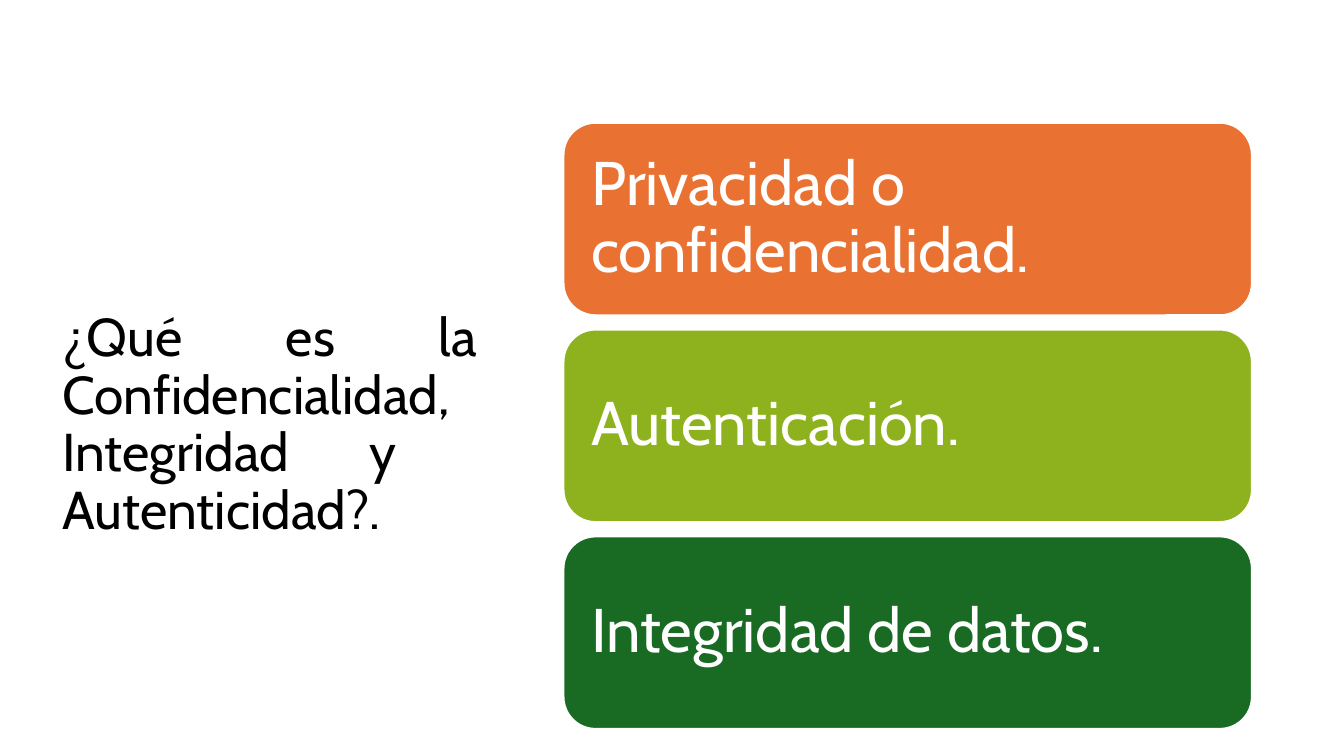
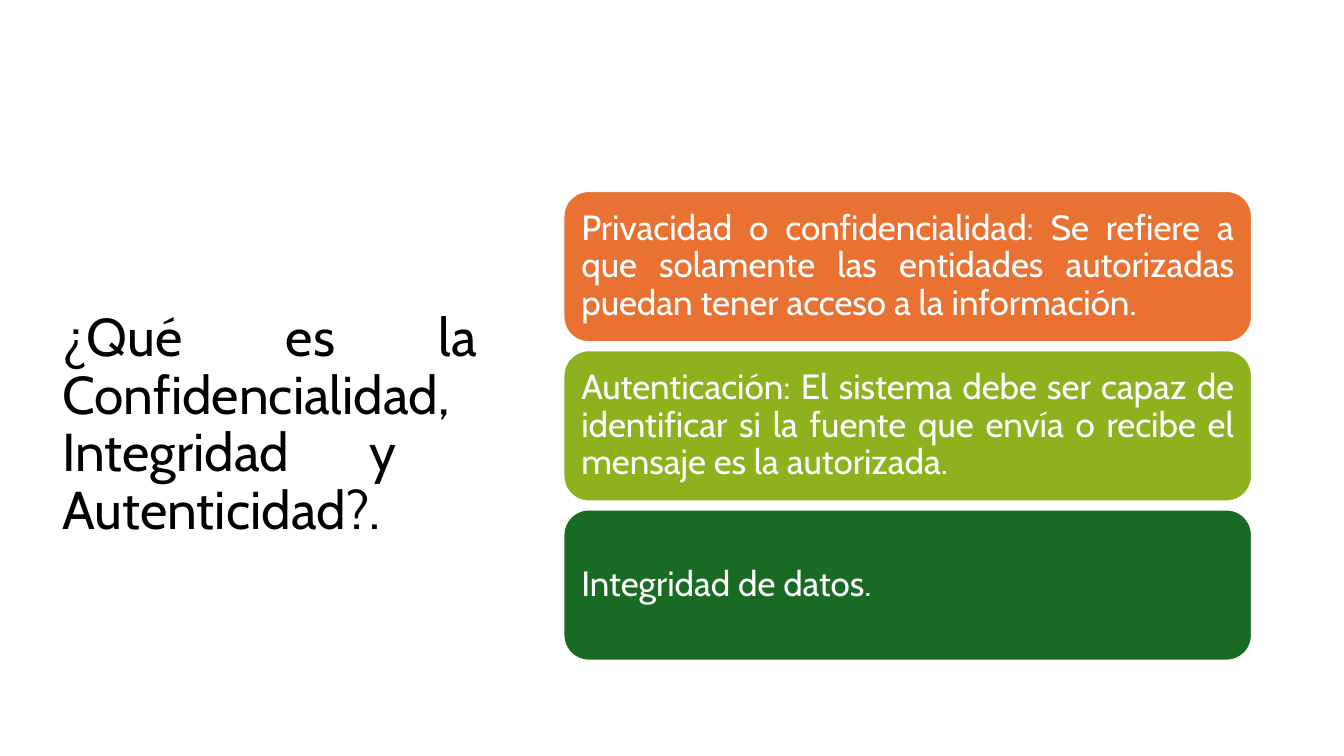
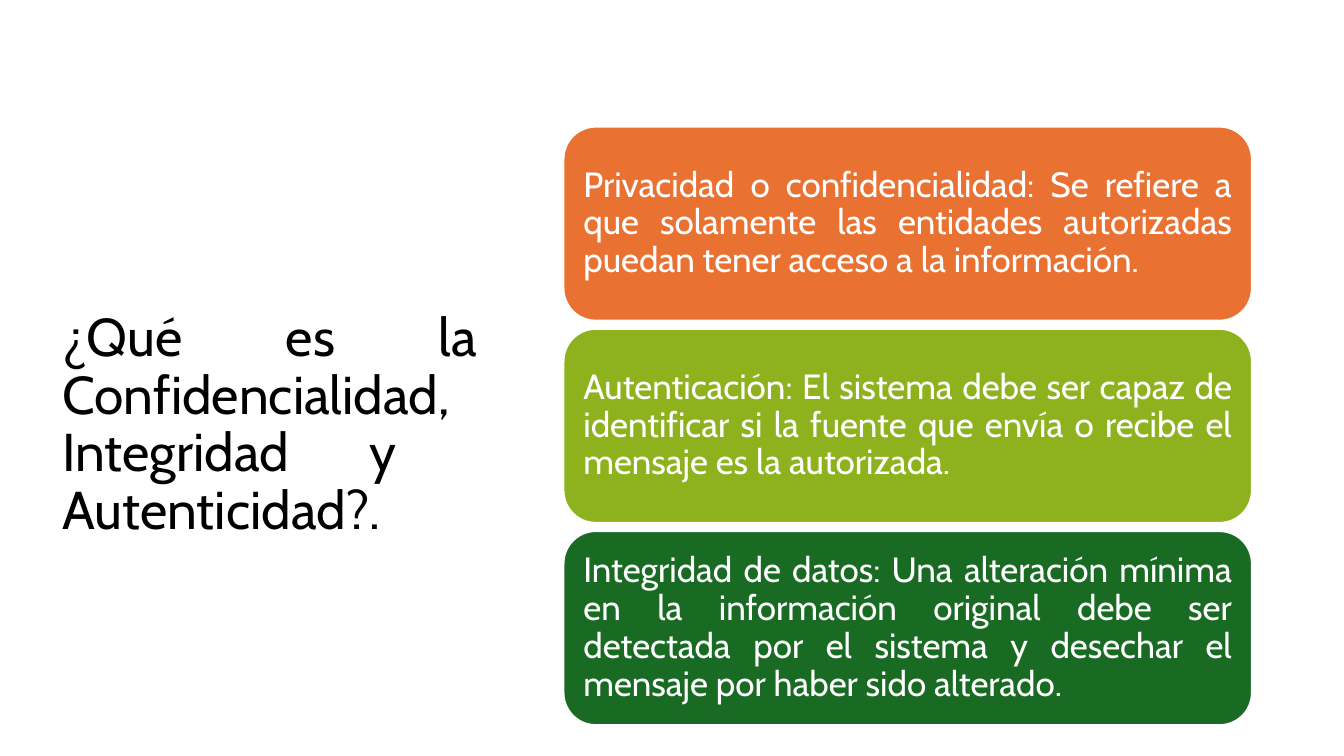
"""Build three slides on confidentiality, authentication and integrity."""
from pptx import Presentation
from pptx.dml.color import RGBColor
from pptx.enum import shapes, text
from pptx.util import Pt

FONT = "Cabin"
BLACK = RGBColor(0x00, 0x00, 0x00)
WHITE = RGBColor(0xFF, 0xFF, 0xFF)
ORANGE = RGBColor(0xE9, 0x71, 0x32)
LIME = RGBColor(0x8E, 0xB2, 0x1E)
GREEN = RGBColor(0x19, 0x6B, 0x24)
CARD_COLORS = (ORANGE, LIME, GREEN)

TITLE = "¿Qué es la Confidencialidad, Integridad y  Autenticidad?."
TITLE_BOX = (37.5, 84.2, 310.3, 440)
TITLE_SIZE = 38

STACK_LEFT, STACK_WIDTH, STACK_MIDDLE = 402.5, 491.8, 304.2
GAP_RATIO, INSET_RATIO = 0.23, 0.3

PRIVACY = ("Privacidad o confidencialidad: Se refiere a que solamente las "
           "entidades autorizadas puedan tener acceso a la información.")
AUTHENTICATION = ("Autenticación: El sistema debe ser capaz de identificar si la "
                  "fuente que envía o recibe el mensaje es la autorizada.")
INTEGRITY = ("Integridad de datos: Una alteración mínima en la información original "
             "debe ser detectada por el sistema y desechar el mensaje por haber "
             "sido alterado.")
INTEGRITY_SHORT = "Integridad de datos."

SLIDES = (
    (44, 137.6, ("Privacidad o confidencialidad.", "Autenticación.", INTEGRITY_SHORT)),
    (25, 108, (PRIVACY, AUTHENTICATION, INTEGRITY_SHORT)),
    (25, 138.7, (PRIVACY, AUTHENTICATION, INTEGRITY)),
)


def place_title(layout):
    """Set the title area that every slide inherits."""
    sp = layout.placeholders[0]
    sp.left, sp.top, sp.width, sp.height = map(Pt, TITLE_BOX)


def write(sp, words, size, color, align):
    """Write one vertically centred paragraph in a shape."""
    tf = sp.text_frame
    tf.word_wrap = True
    tf.auto_size = text.MSO_AUTO_SIZE.NONE
    tf.vertical_anchor = text.MSO_ANCHOR.MIDDLE
    p = tf.paragraphs[0]
    p.alignment = align
    p.line_spacing = 0.9
    r = p.add_run()
    r.text = words
    r.font.name = FONT
    r.font.size = Pt(size)
    r.font.color.rgb = color


def add_card(slide, top, height, words, size, color):
    """Add one rounded card with its text."""
    sp = slide.shapes.add_shape(
        shapes.MSO_SHAPE.ROUNDED_RECTANGLE,
        Pt(STACK_LEFT), Pt(top), Pt(STACK_WIDTH), Pt(height))
    sp.shadow.inherit = False
    sp.fill.solid()
    sp.fill.fore_color.rgb = color
    sp.line.color.rgb = WHITE
    sp.line.width = Pt(1.5)
    tf = sp.text_frame
    inset = Pt(size * INSET_RATIO)
    tf.margin_left = tf.margin_top = tf.margin_right = tf.margin_bottom = inset
    is_definition = ":" in words
    align = text.PP_ALIGN.JUSTIFY if is_definition else text.PP_ALIGN.LEFT
    write(sp, words, size, WHITE, align)


def add_stack(slide, size, height, items):
    """Stack the cards around the shared middle line."""
    pitch = height + size * GAP_RATIO
    top = STACK_MIDDLE - (pitch * (len(items) - 1) + height) / 2
    for i, (words, color) in enumerate(zip(items, CARD_COLORS)):
        add_card(slide, top + i * pitch, height, words, size, color)


def main():
    """Build and save the presentation."""
    prs = Presentation()
    prs.slide_width, prs.slide_height = Pt(960), Pt(540)
    layout = prs.slide_layouts.get_by_name("Title Only")
    place_title(layout)
    for size, height, items in SLIDES:
        slide = prs.slides.add_slide(layout)
        write(slide.shapes.title, TITLE, TITLE_SIZE, BLACK, text.PP_ALIGN.JUSTIFY)
        add_stack(slide, size, height, items)
    prs.save("out.pptx")


if __name__ == "__main__":
    main()
